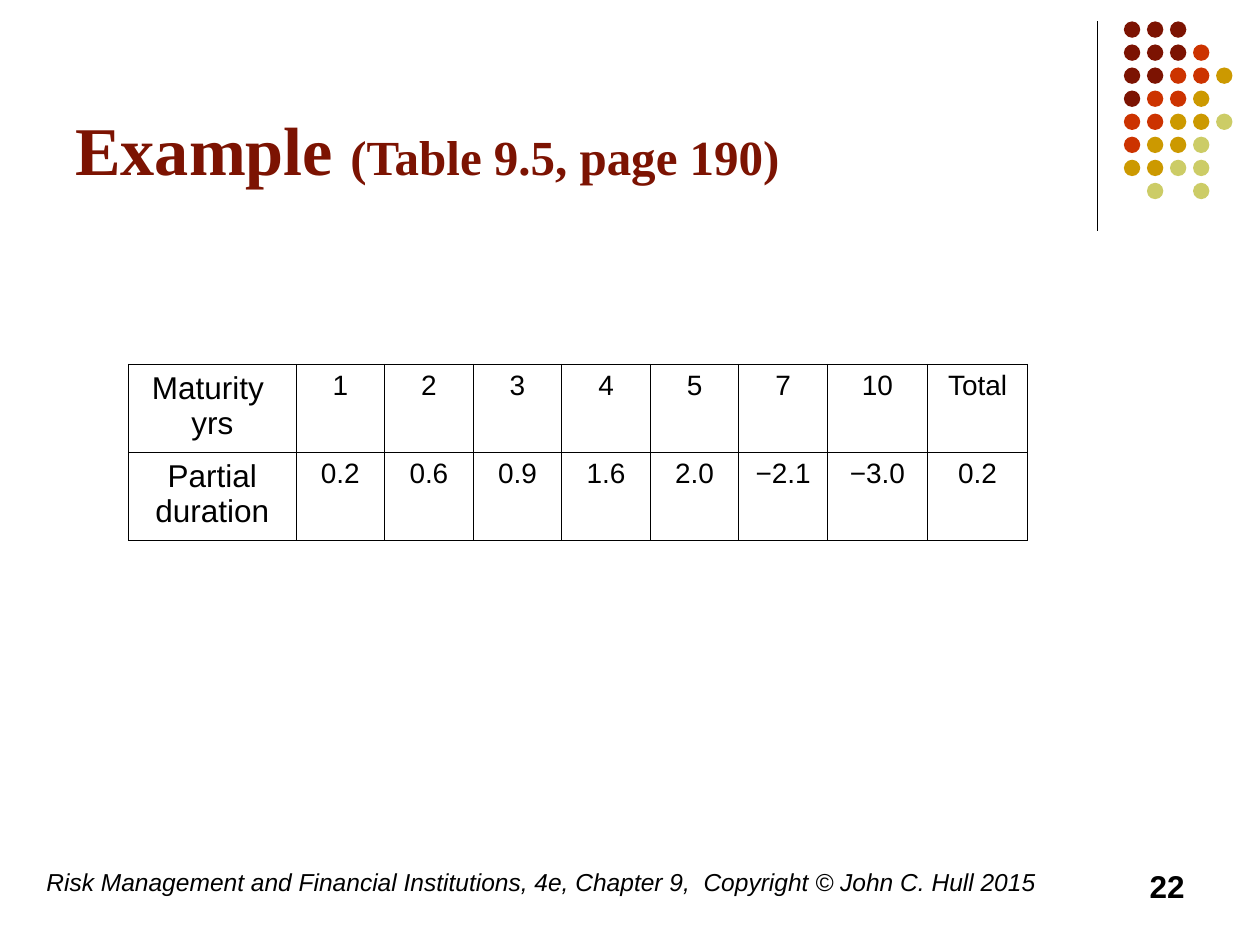
from lxml import etree
from pptx import Presentation
from pptx.dml.color import RGBColor
from pptx.enum.shapes import MSO_CONNECTOR, MSO_SHAPE
from pptx.enum.text import MSO_ANCHOR, PP_ALIGN
from pptx.oxml.ns import qn
from pptx.util import Inches, Pt

LEFT, CENTER, RIGHT = PP_ALIGN.LEFT, PP_ALIGN.CENTER, PP_ALIGN.RIGHT
TOP, BOTTOM = MSO_ANCHOR.TOP, MSO_ANCHOR.BOTTOM
ELLIPSE = MSO_SHAPE.OVAL
STRAIGHT = MSO_CONNECTOR.STRAIGHT

THEME = {
    "maroon": "7C1302",
    "red": "CC3300",
    "gold": "CC9900",
    "olive": "CCCC66",
    "ink": "000000",
    "heading_font": "Times New Roman",
    "body_font": "Arial",
    "title": 39,
    "subtitle": 28,
    "label": 18,
    "value": 16,
    "footer": 14,
    "number": 18,
    "rule": 0.75,
    "border": 0.45,
}

presentation = Presentation()
presentation.slide_width = Inches(10)
presentation.slide_height = Inches(7.5)
slide = presentation.slides.add_slide(presentation.slide_layouts[6])
COLUMN = presentation.slide_width / 100
ROW = presentation.slide_height / 75


def place(left, top, width, height):
    return [round(left * COLUMN), round(top * ROW), round(width * COLUMN), round(height * ROW)]


def add_run(paragraph, text, size, color="ink", font="body_font", bold=False, italic=False):
    run = paragraph.add_run()
    run.text = text
    run.font.name = THEME[font]
    run.font.size = Pt(THEME[size])
    run.font.bold = bold
    run.font.italic = italic
    run.font.color.rgb = RGBColor.from_string(THEME[color])


divider = slide.shapes.add_connector(STRAIGHT, *place(87.1, 1.7, 87.1, 18.3))
divider.line.color.rgb = RGBColor.from_string(THEME["ink"])
divider.line.width = Pt(THEME["rule"])
etree.SubElement(divider._element.spPr, qn("a:effectLst"))

DOT_COLORS = {"m": "maroon", "r": "red", "g": "gold", "o": "olive"}
DOT_ROWS = ["mmm", "mmmr", "mmrrg", "mrrg", "rrggo", "rggo", "ggoo", " o o"]
DOT_PITCH = 1.83
DOT_SIZE = 1.3
dots = slide.shapes.add_group_shape()
for row, pattern in enumerate(DOT_ROWS):
    for column, key in enumerate(pattern):
        if key in DOT_COLORS:
            left, top = 89.2 + column * DOT_PITCH, 1.7 + row * DOT_PITCH
            dot = dots.shapes.add_shape(ELLIPSE, *place(left, top, DOT_SIZE, DOT_SIZE))
            dot.shadow.inherit = False
            dot.fill.solid()
            dot.fill.fore_color.rgb = RGBColor.from_string(THEME[DOT_COLORS[key]])
            dot.line.fill.background()

heading = {"color": "maroon", "font": "heading_font", "bold": True}
TEXTS = [
    ((5, 1.3, 82.5, 14.2), BOTTOM, LEFT, [
        ("Example ", "title", heading),
        ("(Table 9.5, page 190)", "subtitle", heading),
    ]),
    ((2.7, 68.3, 82.7, 5), TOP, LEFT, [
        ("Risk Management and Financial Institutions, 4e, Chapter 9,  Copyright © John C. Hull 2015",
         "footer", {"italic": True}),
    ]),
    ((71.7, 68.3, 23.3, 5), TOP, RIGHT, [("22", "number", {"bold": True})]),
]
for box, anchor, alignment, runs in TEXTS:
    frame = slide.shapes.add_textbox(*place(*box)).text_frame
    frame.word_wrap = True
    frame.vertical_anchor = anchor
    paragraph = frame.paragraphs[0]
    paragraph.alignment = alignment
    for text, size, style in runs:
        add_run(paragraph, text, size, **style)

DURATIONS = [
    ["Maturity \nyrs", "1", "2", "3", "4", "5", "7", "10", "Total"],
    ["Partial duration", "0.2", "0.6", "0.9", "1.6", "2.0", "−2.1", "−3.0", "0.2"],
]
COLUMN_WIDTHS = [13.3] + [7.03] * 6 + [7.95] * 2
ROW_HEIGHT = 7
table = slide.shapes.add_table(
    len(DURATIONS), len(COLUMN_WIDTHS),
    *place(10.2, 28.9, sum(COLUMN_WIDTHS), ROW_HEIGHT * len(DURATIONS)),
).table
table.first_row = False
table.horz_banding = False
for table_column, width in zip(table.columns, COLUMN_WIDTHS):
    table_column.width = round(width * COLUMN)
for row, texts in enumerate(DURATIONS):
    table.rows[row].height = round(ROW_HEIGHT * ROW)
    for column, text in enumerate(texts):
        cell = table.cell(row, column)
        size = "value" if column else "label"
        for index, line in enumerate(text.split("\n")):
            frame = cell.text_frame
            paragraph = frame.add_paragraph() if index else frame.paragraphs[0]
            paragraph.alignment = CENTER
            add_run(paragraph, line, size)
        properties = cell._tc.get_or_add_tcPr()
        for side in ("a:lnL", "a:lnR", "a:lnT", "a:lnB"):
            border = etree.SubElement(properties, qn(side), w=str(Pt(THEME["border"])))
            fill = etree.SubElement(border, qn("a:solidFill"))
            etree.SubElement(fill, qn("a:srgbClr"), val=THEME["ink"])
        cell.fill.background()

presentation.save("out.pptx")
